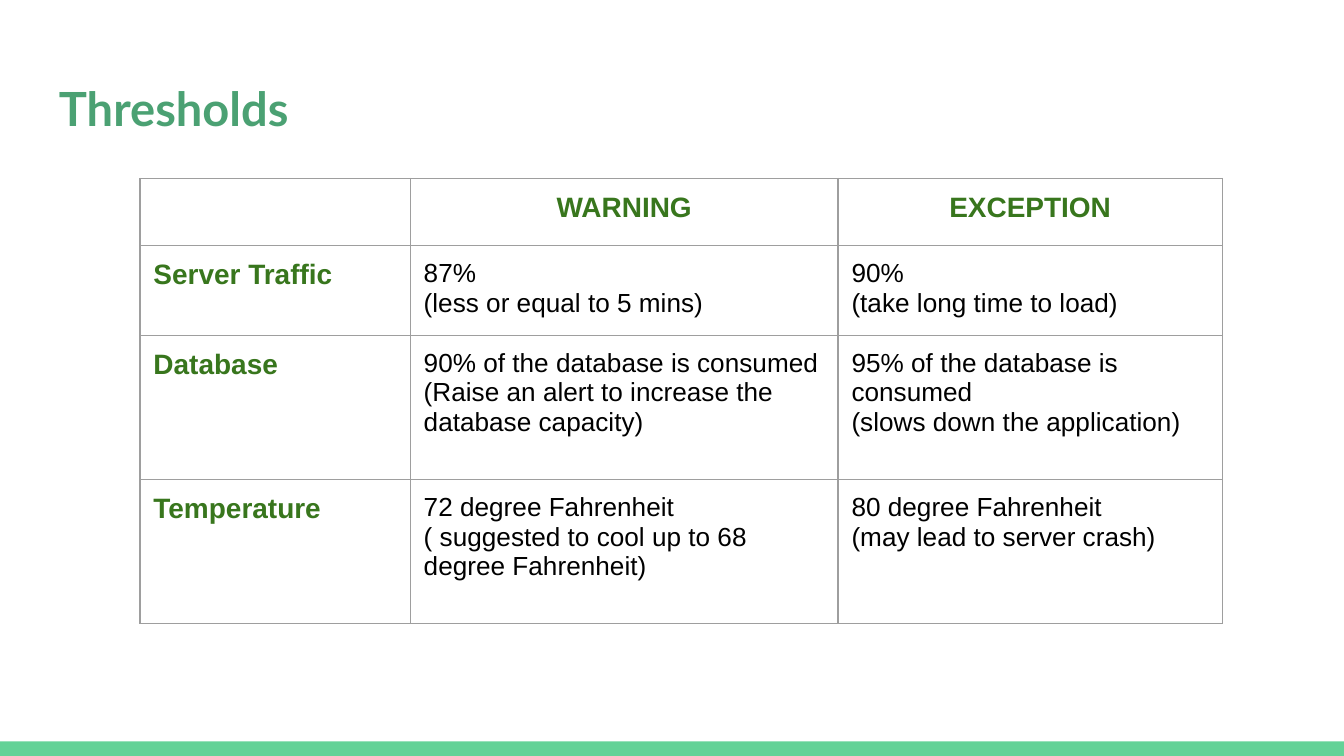
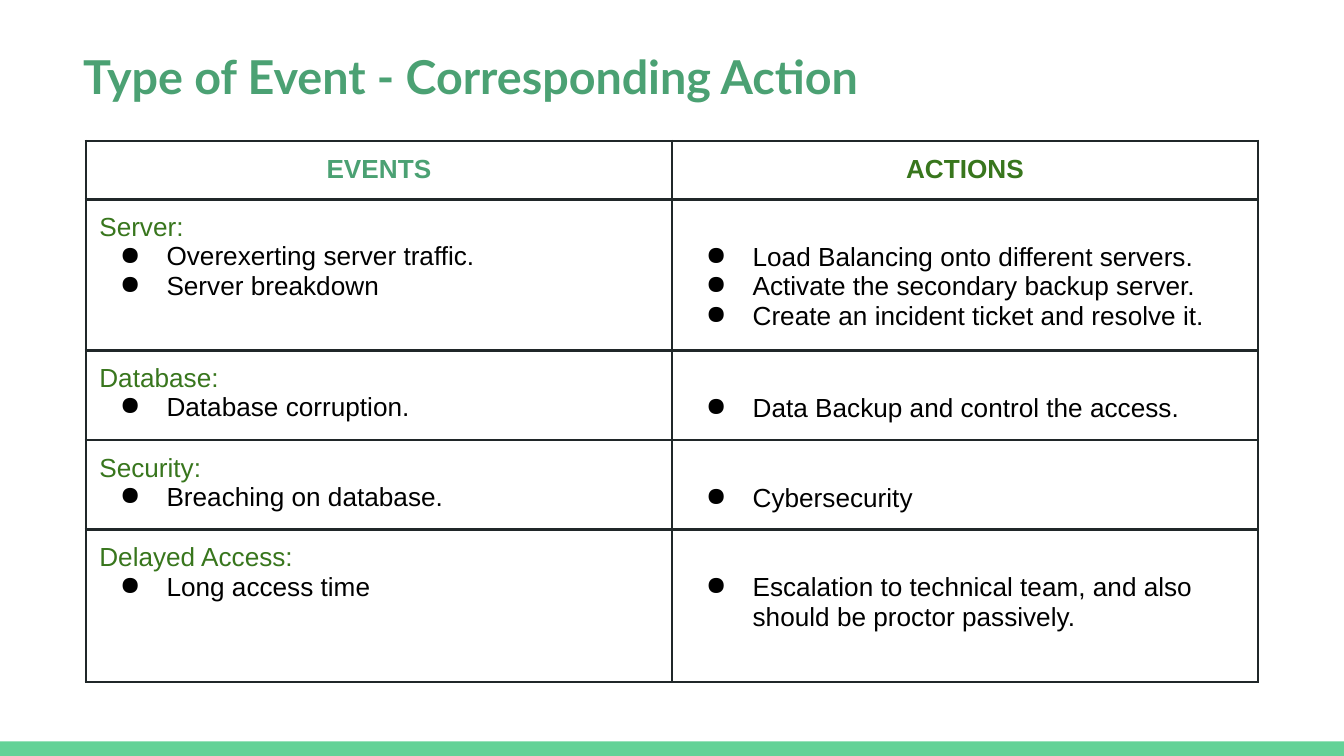
from lxml import etree
from pptx import Presentation
from pptx.dml.color import RGBColor
from pptx.enum.shapes import MSO_SHAPE
from pptx.enum.text import PP_ALIGN
from pptx.oxml.ns import qn
from pptx.util import Pt

RECTANGLE = MSO_SHAPE.RECTANGLE
LEFT, CENTER = PP_ALIGN.LEFT, PP_ALIGN.CENTER

WIDTH, HEIGHT = 720, 405
BAND_HEIGHT = 7.8
INSET = 7.2
LINE_HEIGHT = 16
BAND_GREEN, TITLE_GREEN, DARK_GREEN = "63D297", "4BA173", "38761D"
BLACK, WHITE, GREY, CHARCOAL = "000000", "FFFFFF", "9E9E9E", "202729"

LABEL = {"name": "Arial", "size": Pt(15), "bold": True}
HEADER = {"name": "Arial", "size": Pt(14), "bold": True}
BODY = {"name": "Arial", "size": Pt(14), "bold": False}

THRESHOLDS = [
    ("Server Traffic",
     ["87%", "(less or equal to 5 mins)"],
     ["90%", "(take long time to load)"]),
    ("Database",
     ["90% of the database is consumed",
      "(Raise an alert to increase the database capacity)"],
     ["95% of the database is consumed", "(slows down the application)"]),
    ("Temperature",
     ["72 degree Fahrenheit", "( suggested to cool up to 68 degree Fahrenheit)"],
     ["80 degree Fahrenheit", "(may lead to server crash)"]),
]

EVENTS = [
    ("Server:",
     ["Overexerting server traffic.", "Server breakdown"],
     ["Load Balancing onto different servers.",
      "Activate the secondary backup server.",
      "Create an incident ticket and resolve it."]),
    ("Database:", ["Database corruption."], ["Data Backup and control the access."]),
    ("Security:", ["Breaching on database."], ["Cybersecurity"]),
    ("Delayed Access:", ["Long access time"],
     ["Escalation to technical team, and also should be proctor passively."]),
]


def color(hex_value):
    """Turn a hex string into a colour."""
    return RGBColor.from_string(hex_value)


def set_insets(target, top=INSET):
    """Set the inner margins of a text frame or a cell."""
    margins = {"margin_left": INSET, "margin_top": top,
               "margin_right": INSET, "margin_bottom": INSET}
    for name, value in margins.items():
        setattr(target, name, Pt(value))


def write(paragraph, text, font_format, hex_value, align=LEFT):
    """Write one formatted run into a paragraph."""
    paragraph.alignment = align
    run = paragraph.add_run()
    run.text = text
    for name, value in font_format.items():
        setattr(run.font, name, value)
    run.font.color.rgb = color(hex_value)


def add_bullet(paragraph):
    """Give a paragraph a hanging round bullet."""
    properties = paragraph._p.get_or_add_pPr()
    properties.set("marL", str(Pt(36)))
    properties.set("indent", str(-Pt(25)))
    bullet_color = etree.SubElement(properties, qn("a:buClr"))
    etree.SubElement(bullet_color, qn("a:srgbClr"), val=BLACK)
    etree.SubElement(properties, qn("a:buChar"), char="●")


def write_lines(cell, lines, font_format=BODY, hex_value=BLACK, align=LEFT):
    """Write the lines of a cell as paragraphs."""
    frame = cell.text_frame
    for index, line in enumerate(lines):
        paragraph = frame.add_paragraph() if index else frame.paragraphs[0]
        write(paragraph, line, font_format, hex_value, align)


def write_bullets(cell, items, heading=None):
    """Write a bullet list, under a heading or one line lower without it."""
    if heading:
        write_lines(cell, [heading], BODY, DARK_GREEN)
    else:
        set_insets(cell, INSET + LINE_HEIGHT)
    for index, item in enumerate(items):
        first = index == 0 and not heading
        paragraph = cell.text_frame.paragraphs[0] if first else cell.text_frame.add_paragraph()
        write(paragraph, item, BODY, BLACK)
        add_bullet(paragraph)


def set_borders(cell, hex_value, width):
    """Draw a line on all four sides of a cell."""
    properties = cell._tc.get_or_add_tcPr()
    for index, side in enumerate(("a:lnL", "a:lnR", "a:lnT", "a:lnB")):
        line = etree.Element(qn(side), w=str(Pt(width)))
        fill = etree.SubElement(line, qn("a:solidFill"))
        etree.SubElement(fill, qn("a:srgbClr"), val=hex_value)
        properties.insert(index, line)


def add_grid(slide, left, top, columns, rows, border, border_width):
    """Add an unfilled table with ruled cells."""
    table = slide.shapes.add_table(
        len(rows), len(columns), Pt(left), Pt(top), Pt(sum(columns)), Pt(sum(rows))).table
    table.first_row = table.horz_banding = False
    for column, width in zip(table.columns, columns):
        column.width = Pt(width)
    for row, height in zip(table.rows, rows):
        row.height = Pt(height)
    for cell in table.iter_cells():
        set_insets(cell)
        cell.fill.background()
        set_borders(cell, border, border_width)
    return table


def add_titled_slide(deck, title, left, top, width, size):
    """Add a white slide with the green band and its title."""
    slide = deck.slides.add_slide(deck.slide_layouts[6])
    slide.background.fill.solid()
    slide.background.fill.fore_color.rgb = color(WHITE)
    band = slide.shapes.add_shape(
        RECTANGLE, 0, Pt(HEIGHT - BAND_HEIGHT), Pt(WIDTH), Pt(BAND_HEIGHT))
    band.shadow.inherit = False
    band.fill.solid()
    band.fill.fore_color.rgb = color(BAND_GREEN)
    band.line.fill.background()
    frame = slide.shapes.add_textbox(Pt(left), Pt(top), Pt(width), Pt(45)).text_frame
    frame.word_wrap = True
    set_insets(frame)
    write(frame.paragraphs[0], title,
          {"name": "Lato", "size": Pt(size), "bold": True}, TITLE_GREEN)
    return slide


def add_thresholds(deck):
    """Build the slide of warning and exception thresholds."""
    slide = add_titled_slide(deck, "Thresholds", 24.5, 35.3, 671, 25.2)
    table = add_grid(slide, 75, 95.6, [144.8, 144.8, 84.4, 205.8],
                     [34.2, 46, 77.2, 77.2], GREY, 0.75)
    for row in range(len(THRESHOLDS) + 1):
        table.cell(row, 1).merge(table.cell(row, 2))
    write_lines(table.cell(0, 0), [""], BODY)
    for column, heading in ((1, "WARNING"), (3, "EXCEPTION")):
        write_lines(table.cell(0, column), [heading], LABEL, DARK_GREEN, CENTER)
    for row, (measure, warning, exception) in enumerate(THRESHOLDS, 1):
        write_lines(table.cell(row, 0), [measure], LABEL, DARK_GREEN)
        write_lines(table.cell(row, 1), warning)
        write_lines(table.cell(row, 3), exception)


def add_events(deck):
    """Build the slide of events and their actions."""
    slide = add_titled_slide(
        deck, "Type of Event - Corresponding Action", 37.4, 18.7, 442, 25)
    table = add_grid(slide, 46, 75.6, [314, 314],
                     [31.2, 77.2, 48, 48, 81.6], CHARCOAL, 1.5)
    headings = (("EVENTS", TITLE_GREEN), ("ACTIONS", DARK_GREEN))
    for column, (heading, hex_value) in enumerate(headings):
        write_lines(table.cell(0, column), [heading], HEADER, hex_value, CENTER)
    for row, (source, events, actions) in enumerate(EVENTS, 1):
        write_bullets(table.cell(row, 0), events, source)
        write_bullets(table.cell(row, 1), actions)


def main():
    """Build and save the deck."""
    deck = Presentation()
    deck.slide_width, deck.slide_height = Pt(WIDTH), Pt(HEIGHT)
    add_thresholds(deck)
    add_events(deck)
    deck.save("out.pptx")


if __name__ == "__main__":
    main()
